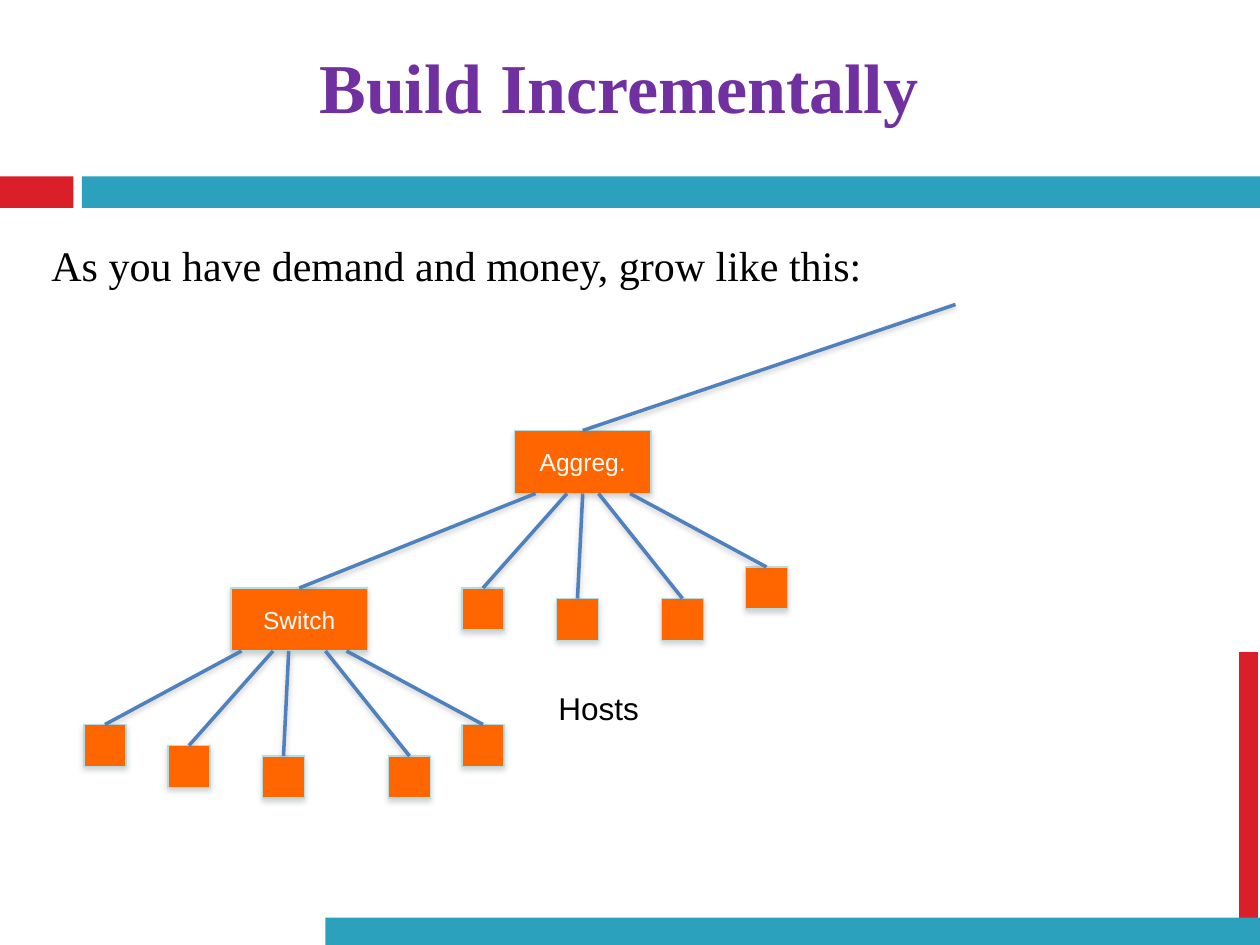
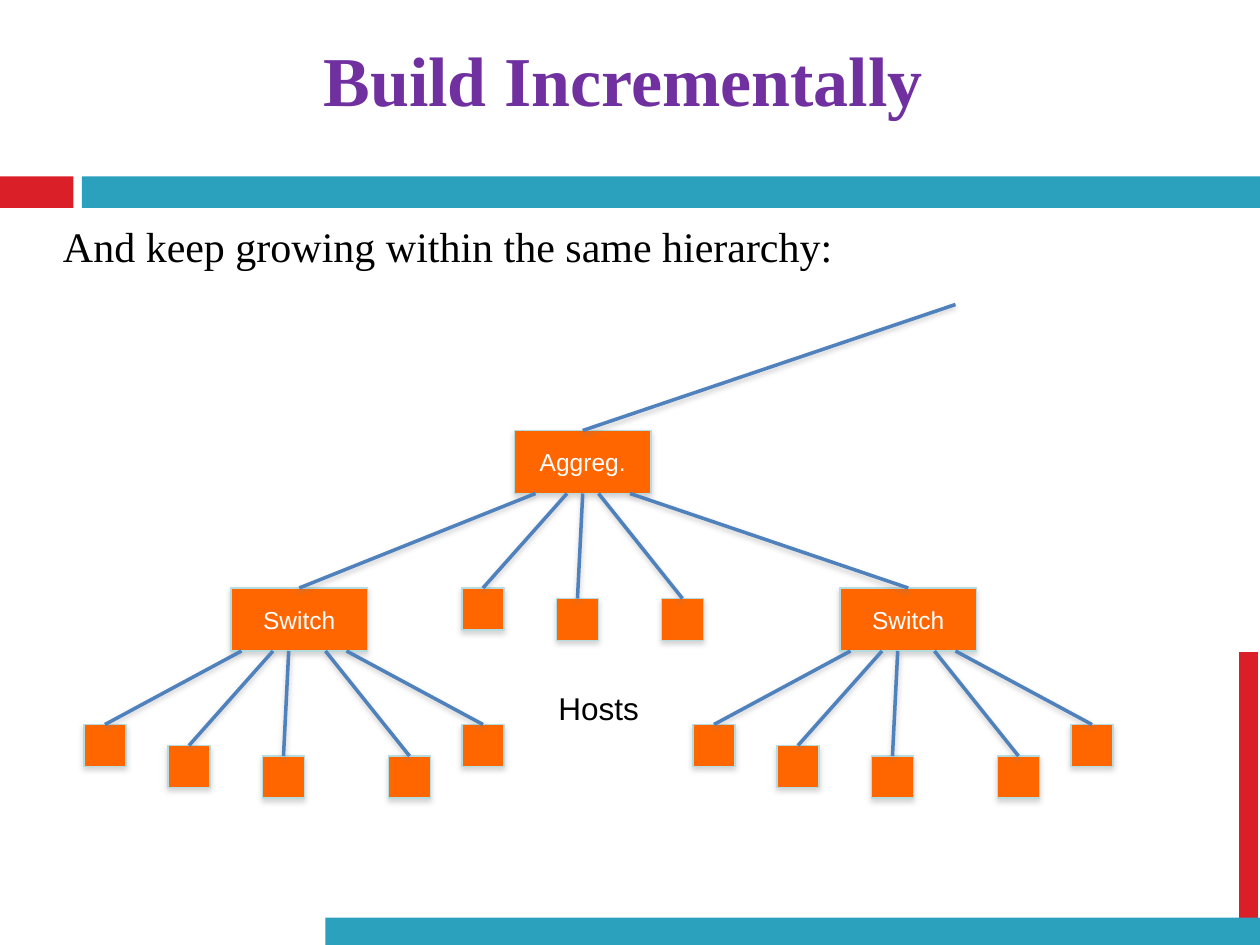
from lxml.etree import SubElement
from pptx import Presentation
from pptx.dml.color import RGBColor
from pptx.enum.shapes import MSO_CONNECTOR as CONN, MSO_SHAPE as SHAPE
from pptx.enum.text import MSO_ANCHOR as ANCHOR, MSO_AUTO_SIZE as AUTO, PP_ALIGN as ALIGN
from pptx.oxml.ns import qn
from pptx.util import Emu, Pt

PX = 7620  # 120 px to the inch
SLIDE_W, SLIDE_H = 1200, 900
COLORS = dict(red="DA1F28", teal="2CA1BE", title="7030A0", text="000000",
              node="FF6600", edge="B6DCDF", link="4F81BD", label="FFFFFF",
              shadow="808080")
SERIF, SANS = "Times New Roman", "Arial"

TITLE_SIZE, LEAD_SIZE = (1019, 80), (1080, 48)
NODE_W, NODE_H, HOST = 130, 60, 40
HEADER_BANDS = [("red", (0, 168, 70, 30)), ("teal", (78, 168, 1122, 30))]
FOOTER_BANDS = [("red", (1180, 621, 18, 269)), ("teal", (310, 874, 890, 26))]

AGGREG_AT = (490, 410)
UPLINK_END = (910, 290)
HOSTS_LABEL = ("Hosts", (520, 650, 102, 48))
# Ports are offsets from the left end of a node's lower side.
AGGREG_PORTS = [20, 50, 65, 80, 110]
SWITCH_PORTS = [10, 40, 55, 90, 110]
# Host places, measured from the switch's top left corner.
SWITCH_HOSTS = [(-140, 130), (-60, 150), (30, 160), (150, 160), (220, 130)]

LEFT_SWITCH, RIGHT_SWITCH = ("Switch", 220, 560), ("Switch", 800, 560)
MIDDLE_HOSTS = [("", 440, 560), ("", 530, 570), ("", 630, 570)]
SLIDES = [
    dict(title="Build Incrementally", title_at=(80, 41),
         lead="As you have demand and money, grow like this:", lead_at=(49, 228),
         children=[LEFT_SWITCH, *MIDDLE_HOSTS, ("", 710, 540)]),
    dict(title="Build Incrementally", title_at=(84, 35),
         lead="And keep growing within the same hierarchy:", lead_at=(60, 210),
         children=[LEFT_SWITCH, *MIDDLE_HOSTS, RIGHT_SWITCH]),
]


def emu(*lengths):
    return [Emu(v * PX) for v in lengths]


def rgb(name):
    return RGBColor.from_string(COLORS[name])


def set_text(sp, text, font, size, color, bold=False, align=ALIGN.LEFT, before=0):
    p = sp.text_frame.paragraphs[0]
    p.text = text
    p.alignment = align
    p.space_before = Pt(before)
    f = p.runs[0].font
    f.name, f.size, f.bold = font, Pt(size), bold
    f.color.rgb = rgb(color)


def place_heading(sp, at, size):
    sp.left, sp.top, sp.width, sp.height = emu(*at, *size)
    tf = sp.text_frame
    tf.margin_left = tf.margin_right = tf.margin_top = tf.margin_bottom = 0
    tf.word_wrap, tf.auto_size = True, AUTO.NONE
    tf.vertical_anchor = ANCHOR.TOP


def add_shadow(sp, dist, alpha):
    """Give the shape a soft shadow straight below it."""
    effects = SubElement(sp._element.spPr, qn("a:effectLst"))
    shadow = SubElement(effects, qn("a:outerShdw"), blurRad="40000", dist=str(dist),
                        dir="5400000", rotWithShape="0")
    color = SubElement(shadow, qn("a:srgbClr"), val=COLORS["shadow"])
    SubElement(color, qn("a:alpha"), val=str(alpha * 1000))


def add_bands(s, bands):
    for color, box in bands:
        sp = s.shapes.add_shape(SHAPE.RECTANGLE, *emu(*box))
        sp.shadow.inherit = False
        sp.fill.solid()
        sp.fill.fore_color.rgb = rgb(color)
        sp.line.fill.background()


def add_node(s, label, x, y):
    """Draw a labelled node, or a small host when there is no label."""
    w, h = (NODE_W, NODE_H) if label else (HOST, HOST)
    sp = s.shapes.add_shape(SHAPE.RECTANGLE, *emu(x, y, w, h))
    sp.fill.solid()
    sp.fill.fore_color.rgb = rgb("node")
    sp.line.color.rgb = rgb("edge")
    sp.line.width = Pt(0.75)
    add_shadow(sp, 23000, 35)
    if label:
        sp.text_frame.vertical_anchor = ANCHOR.MIDDLE
        set_text(sp, label, SANS, 14, "label", align=ALIGN.CENTER)
    return sp


def add_link(s, start, end):
    c = s.shapes.add_connector(CONN.STRAIGHT, *emu(*start, *end))
    c.line.color.rgb = rgb("link")
    c.line.width = Pt(2)
    add_shadow(c, 20000, 38)
    return c


def add_children(s, parent, x, y, ports, children):
    """Draw the children of the node at x, y and link each to its port."""
    for port, (label, cx, cy) in zip(ports, children):
        child = add_node(s, label, cx, cy)
        c = add_link(s, (x + port, y + NODE_H), (cx, cy))
        c.end_connect(child, 0)
        if port * 2 == NODE_W:
            c.begin_connect(parent, 2)
        if label:
            hosts = [("", cx + dx, cy + dy) for dx, dy in SWITCH_HOSTS]
            add_children(s, child, cx, cy, SWITCH_PORTS, hosts)


def add_network(s, children):
    aggreg = add_node(s, "Aggreg.", *AGGREG_AT)
    add_link(s, AGGREG_AT, UPLINK_END).begin_connect(aggreg, 0)
    add_children(s, aggreg, *AGGREG_AT, AGGREG_PORTS, children)
    text, box = HOSTS_LABEL
    label = s.shapes.add_textbox(*emu(*box))
    label.text_frame.word_wrap = False
    set_text(label, text, SANS, 18, "text")


def build_slide(prs, title, title_at, lead, lead_at, children):
    s = prs.slides.add_slide(prs.slide_layouts[5])
    add_bands(s, HEADER_BANDS)
    place_heading(s.shapes.title, title_at, TITLE_SIZE)
    set_text(s.shapes.title, title, SERIF, 40, "title", True, ALIGN.CENTER, before=5)
    sp = s.shapes.add_textbox(*emu(*lead_at, *LEAD_SIZE))
    place_heading(sp, lead_at, LEAD_SIZE)
    set_text(sp, lead, SERIF, 24, "text", before=3)
    add_network(s, children)
    add_bands(s, FOOTER_BANDS)


def main():
    prs = Presentation()
    prs.slide_width, prs.slide_height = emu(SLIDE_W, SLIDE_H)
    for content in SLIDES:
        build_slide(prs, **content)
    prs.save("out.pptx")


if __name__ == "__main__":
    main()
